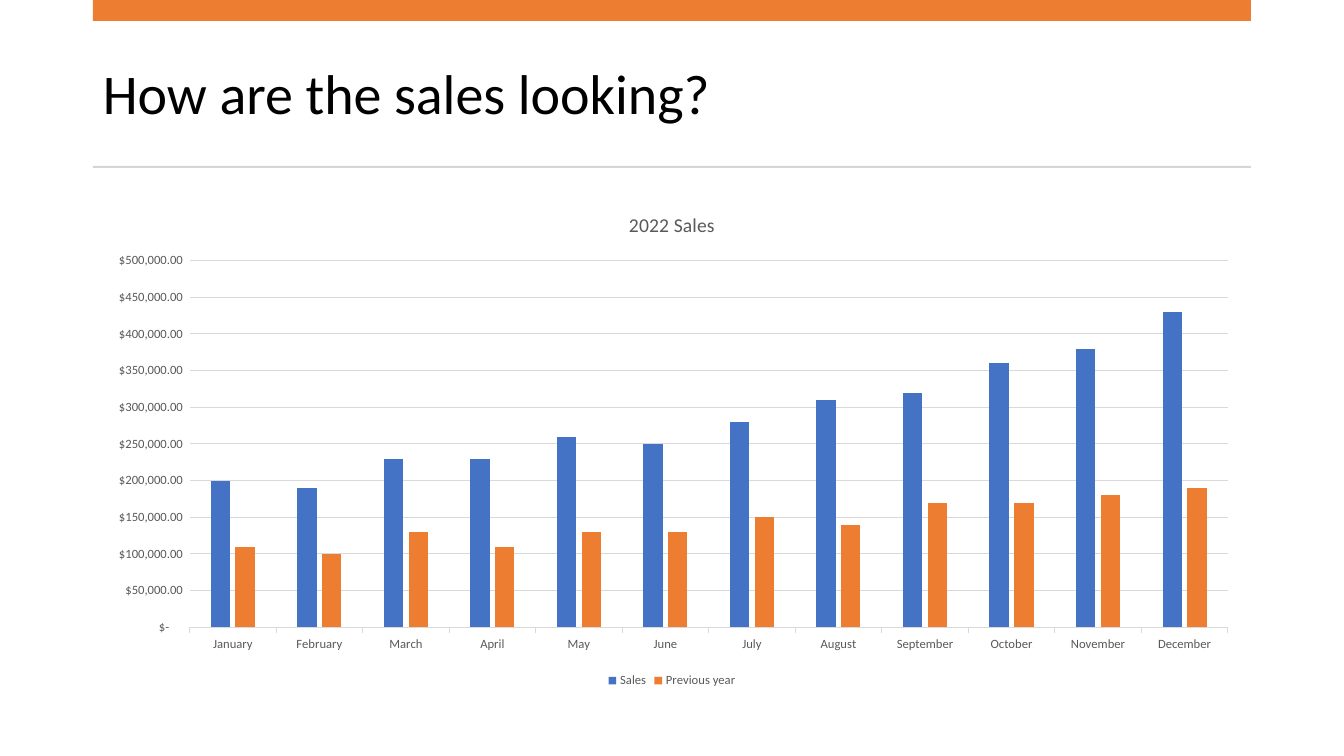
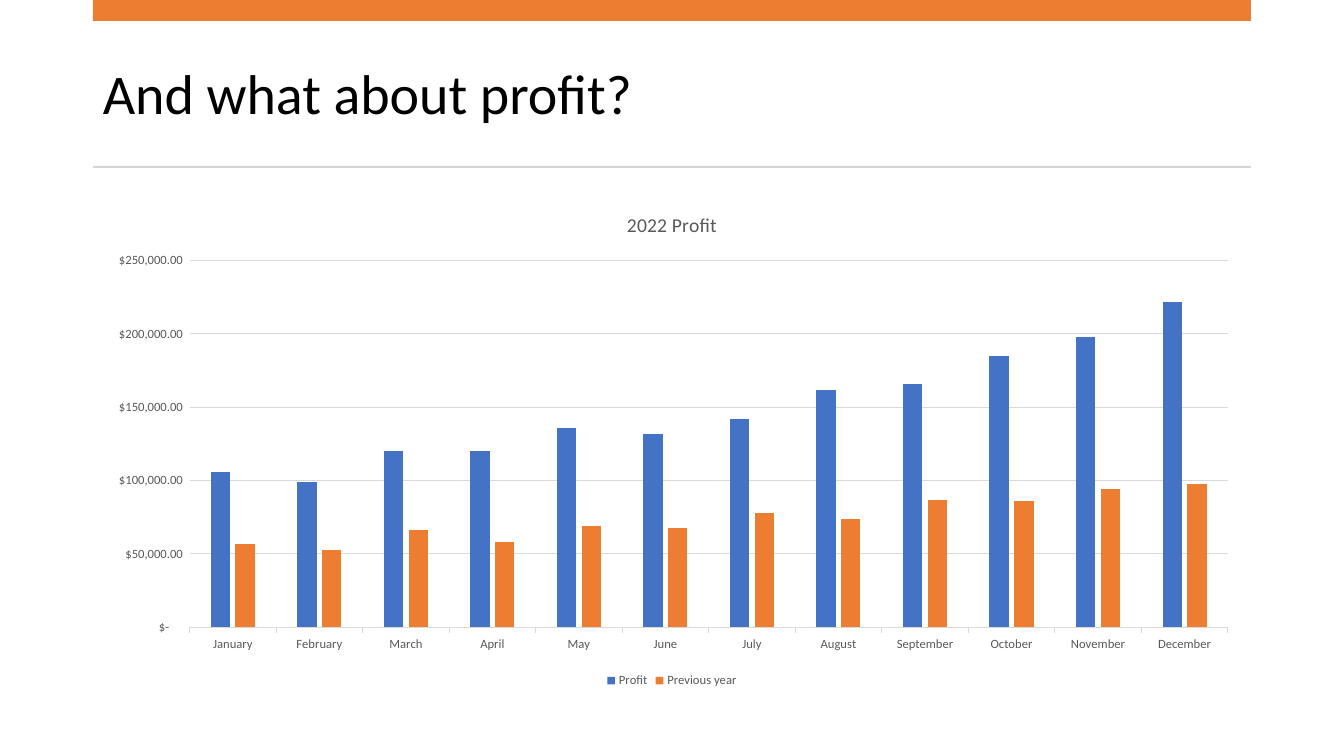
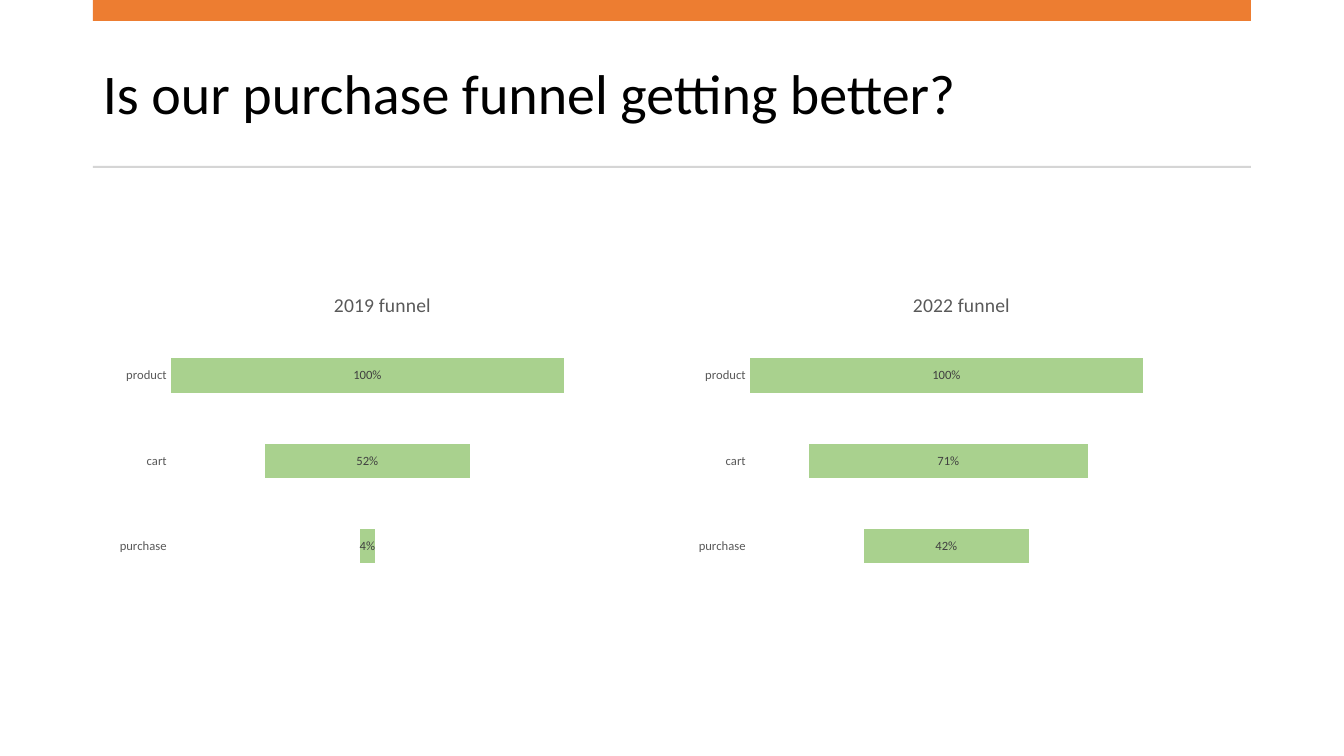
from lxml import etree
from pptx import Presentation
from pptx.chart.data import CategoryChartData
from pptx.dml.color import RGBColor
from pptx.enum import chart as ch, shapes, text
from pptx.util import Pt

PX = 12192000 / 1344
FONT = "Calibri"
BLACK = RGBColor(0x00, 0x00, 0x00)
ORANGE = RGBColor(0xED, 0x7D, 0x31)
BLUE = RGBColor(0x44, 0x72, 0xC4)
GREEN = RGBColor(0xA9, 0xD1, 0x8E)
RULE = RGBColor(0xD5, 0xD5, 0xD5)
GRID = RGBColor(0xD9, 0xD9, 0xD9)
GREY = RGBColor(0x59, 0x59, 0x59)
DARK = RGBColor(0x40, 0x40, 0x40)

LEFT, WIDTH = 93, 1158
BANDS = [(0, 21, ORANGE), (166, 2, RULE)]
DOLLARS = r'_("$"* #,##0.00_);_("$"* \(#,##0.00\);_("$"* "-"??_);_(@_)'
MONTHS = ["January", "February", "March", "April", "May", "June", "July",
          "August", "September", "October", "November", "December"]
STAGES = ["purchase", "cart", "product"]
PLOT_BOX = {"x": 0.134, "y": 0.172, "w": 0.816, "h": 0.777}

# Slide title, chart title, series name, this year and previous year in thousands
YEARS = [
    ("How are the sales looking?", "2022 Sales", "Sales",
     [200, 190, 230, 230, 260, 250, 280, 310, 320, 360, 380, 430],
     [110, 100, 130, 110, 130, 130, 150, 140, 170, 170, 180, 190]),
    ("And what about profit?", "2022 Profit", "Profit",
     [106, 99, 120, 120, 136, 132, 142, 162, 166, 185, 198, 222],
     [57, 53, 66, 58, 69, 68, 78, 74, 87, 86, 94, 98]),
]
# Chart title, centring offsets, shares
FUNNELS = [
    ("2019 funnel", [0.48, 0.24, 0], [0.04, 0.52, 1]),
    ("2022 funnel", [0.29, 0.15, 0], [0.42, 0.71, 1]),
]

prs = Presentation()
prs.slide_width, prs.slide_height = round(1344 * PX), round(756 * PX)


def add_titled_slide(title):
    s = prs.slides.add_slide(prs.slide_layouts[6])
    box = s.shapes.add_textbox(*(round(n * PX) for n in (LEFT, 37, WIDTH, 119)))
    tf = box.text_frame
    tf.word_wrap = True
    tf.vertical_anchor = text.MSO_ANCHOR.MIDDLE
    tf.text = title
    p = tf.paragraphs[0]
    p.line_spacing = 0.9
    font = p.runs[0].font
    font.name, font.size, font.color.rgb = FONT, Pt(40), BLACK
    for top, height, color in BANDS:
        sp = s.shapes.add_shape(shapes.MSO_SHAPE.RECTANGLE,
                                *(round(n * PX) for n in (LEFT, top, WIDTH, height)))
        sp.shadow.inherit = False
        sp.fill.solid()
        sp.fill.fore_color.rgb = color
        sp.line.fill.background()
    return s


def add_bar_chart(s, kind, box, title, cats, series, number_format):
    """Add a chart with the shared fonts; series holds (name, values, colour or None)."""
    data = CategoryChartData(number_format=number_format)
    data.categories = cats
    for name, values, _ in series:
        data.add_series(name, values)
    chart = s.shapes.add_chart(kind, *(round(n * PX) for n in box), data).chart
    chart.font.name, chart.font.size, chart.font.color.rgb = FONT, Pt(9), GREY
    chart.has_title = True
    chart.chart_title.include_in_layout = False
    chart.chart_title.text_frame.text = title
    font = chart.chart_title.text_frame.paragraphs[0].runs[0].font
    font.name, font.size, font.bold, font.color.rgb = FONT, Pt(14), False, GREY
    chart.plots[0].vary_by_categories = False
    for bars, (_, _, color) in zip(chart.plots[0].series, series):
        bars.invert_if_negative = False
        if color is None:
            bars.format.fill.background()
        else:
            bars.format.fill.solid()
            bars.format.fill.fore_color.rgb = color
    for axis in (chart.category_axis, chart.value_axis):
        axis.major_tick_mark = axis.minor_tick_mark = ch.XL_TICK_MARK.NONE
        axis.format.line.fill.background()
    chart.value_axis.tick_labels.number_format = number_format
    chart.value_axis.tick_labels.number_format_is_linked = False
    return chart


for title, chart_title, name, current, previous in YEARS:
    s = add_titled_slide(title)
    series = [(name, [v * 1000 for v in current], BLUE),
              ("Previous year", [v * 1000 for v in previous], ORANGE)]
    chart = add_bar_chart(s, ch.XL_CHART_TYPE.COLUMN_CLUSTERED, (LEFT, 192, WIDTH, 500),
                          chart_title, MONTHS, series, DOLLARS)
    chart.plots[0].gap_width, chart.plots[0].overlap = 219, -27
    chart.has_legend = True
    chart.legend.position = ch.XL_LEGEND_POSITION.BOTTOM
    chart.legend.include_in_layout = False
    chart.category_axis.major_tick_mark = ch.XL_TICK_MARK.OUTSIDE
    for line in (chart.category_axis.format.line,
                 chart.value_axis.major_gridlines.format.line):
        line.color.rgb, line.width = GRID, Pt(0.75)

s = add_titled_slide("Is our purchase funnel getting better?")
for i, (chart_title, offsets, shares) in enumerate(FUNNELS):
    series = [("Series 1", offsets, None), ("Series 2", shares, GREEN)]
    box = (LEFT + i * WIDTH // 2, 276, WIDTH // 2, 330)
    chart = add_bar_chart(s, ch.XL_CHART_TYPE.BAR_STACKED, box,
                          chart_title, STAGES, series, "0%")
    chart.has_legend = False
    chart.value_axis.visible = False
    chart.value_axis.has_major_gridlines = False
    chart.value_axis.minimum_scale, chart.value_axis.maximum_scale = 0, 1.2
    plot = chart.plots[0]
    plot.gap_width, plot.overlap = 150, 100
    labels = plot.series[1].data_labels
    labels.show_value = True
    labels.number_format, labels.number_format_is_linked = "0%", False
    labels.position = ch.XL_LABEL_POSITION.CENTER
    labels.font.name, labels.font.size, labels.font.color.rgb = FONT, Pt(9), DARK

    # Fixed inner plot area, as fractions of the chart
    area = chart.element.find(".//{*}plotArea")
    ns = "{%s}" % etree.QName(area).namespace
    for old in area.findall(ns + "layout"):
        area.remove(old)
    layout = etree.Element(ns + "layout")
    manual = etree.SubElement(layout, ns + "manualLayout")
    settings = {"layoutTarget": "inner", "xMode": "edge", "yMode": "edge", **PLOT_BOX}
    for tag, value in settings.items():
        etree.SubElement(manual, ns + tag, val=str(value))
    area.insert(0, layout)

prs.save("out.pptx")
